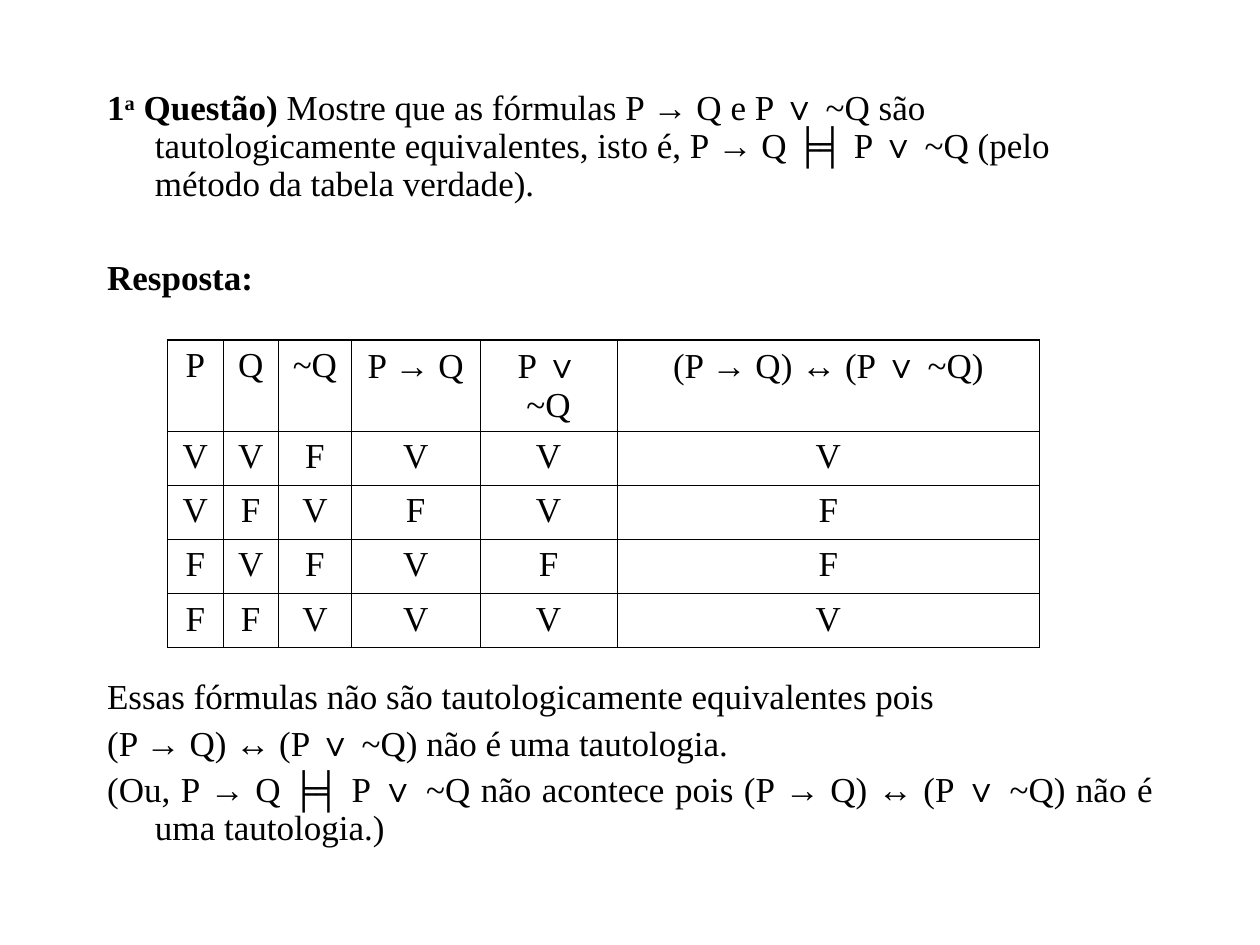
"""Build a slide that checks a tautological equivalence with a truth table."""
from dataclasses import dataclass
from itertools import groupby

from lxml import etree
from pptx import Presentation
from pptx.dml.color import RGBColor
from pptx.enum.text import MSO_AUTO_SIZE, PP_ALIGN
from pptx.oxml.ns import qn
from pptx.util import Inches, Pt

BLACK = RGBColor(0, 0, 0)
LEFT, CENTER, JUSTIFY = PP_ALIGN.LEFT, PP_ALIGN.CENTER, PP_ALIGN.JUSTIFY
NO_AUTOFIT = MSO_AUTO_SIZE.NONE
TEXT_FONT, SYMBOL_FONT = "Times New Roman", "Arial"
SYMBOLS = "→∨↔"
TEXT_SIZE = Pt(20)
THIN, THICK = Pt(0.45), Pt(1.08)
TITLE_AND_CONTENT = 1
INDENT = Inches(0.38)


@dataclass(frozen=True)
class Span:
    text: str
    bold: bool = False
    superscript: bool = False


@dataclass(frozen=True)
class Statement:
    spans: tuple[Span, ...]
    space_before: float = 5
    alignment: PP_ALIGN = JUSTIFY


STATEMENTS = (
    Statement((
        Span("1", bold=True),
        Span("a", bold=True, superscript=True),
        Span(" Questão)", bold=True),
        Span(" Mostre que as fórmulas P → Q e P ∨ ~Q são tautologicamente "
             "equivalentes, isto é, P → Q ╞╡ P ∨ ~Q (pelo método da tabela verdade)."),
    ), 0, LEFT),
    Statement((Span("Resposta:", bold=True),), 32, LEFT),
    Statement((Span("Essas fórmulas não são tautologicamente equivalentes pois"),), 218),
    Statement((Span("(P → Q) ↔ (P ∨ ~Q) não é uma tautologia."),)),
    Statement((Span("(Ou, P → Q ╞╡ P ∨ ~Q não acontece pois "
                    "(P → Q) ↔ (P ∨ ~Q) não é uma tautologia.)"),)),
)

TRUTH_TABLE = (
    ("P", "Q", "~Q", "P → Q", "P ∨ ~Q", "(P → Q) ↔ (P ∨ ~Q)"),
    *(tuple(values) for values in ("VVFVVV", "VFVFVF", "FVFVFF", "FFVVVV")),
)
COLUMN_WIDTHS = (0.44, 0.44, 0.58, 1.02, 1.09, 3.35)
ROW_HEIGHT = 0.43


def write_span(paragraph, span: Span) -> None:
    """Add a span, giving logical symbols their own font."""
    for is_symbol, letters in groupby(span.text, lambda letter: letter in SYMBOLS):
        run = paragraph.add_run()
        run.text = "".join(letters)
        run.font.name = SYMBOL_FONT if is_symbol else TEXT_FONT
        run.font.size = TEXT_SIZE
        run.font.bold = span.bold
        run.font.color.rgb = BLACK
        if span.superscript:
            run._r.get_or_add_rPr().set("baseline", "30000")


def write_statement(paragraph, statement: Statement) -> None:
    """Write a statement with a hanging indent and no bullet."""
    properties = paragraph._p.get_or_add_pPr()
    properties.set("marL", str(INDENT))
    properties.set("indent", str(-INDENT))
    etree.SubElement(properties, qn("a:buNone"))
    paragraph.alignment = statement.alignment
    paragraph.line_spacing = 0.9
    paragraph.space_before = Pt(statement.space_before)
    for span in statement.spans:
        write_span(paragraph, span)


def set_border(cell, side: str, width: int) -> None:
    """Draw one black border of a cell."""
    line = etree.SubElement(cell._tc.get_or_add_tcPr(), qn(f"a:ln{side}"), w=str(width))
    fill = etree.SubElement(line, qn("a:solidFill"))
    etree.SubElement(fill, qn("a:srgbClr"), val=str(BLACK))


def add_statements(page) -> None:
    """Fill the body placeholder with the question and the conclusion."""
    title = page.shapes.title._element
    title.getparent().remove(title)
    body = page.placeholders[1]
    body.left, body.top = Inches(0.75), Inches(0.67)
    body.width, body.height = Inches(8.5), Inches(6.33)
    frame = body.text_frame
    frame.word_wrap = True
    frame.auto_size = NO_AUTOFIT
    for index, statement in enumerate(STATEMENTS):
        paragraph = frame.add_paragraph() if index else frame.paragraphs[0]
        write_statement(paragraph, statement)


def add_truth_table(page) -> None:
    """Add the truth table with a thick outline and thin inner rules."""
    row_count, column_count = len(TRUTH_TABLE), len(COLUMN_WIDTHS)
    table = page.shapes.add_table(
        row_count, column_count, Inches(1.33), Inches(2.7),
        Inches(sum(COLUMN_WIDTHS)), Inches(ROW_HEIGHT * row_count)).table
    table.first_row = table.horz_banding = False
    for column, width in zip(table.columns, COLUMN_WIDTHS):
        column.width = Inches(width)
    for row, values in enumerate(TRUTH_TABLE):
        for column, value in enumerate(values):
            cell = table.cell(row, column)
            outer_sides = {
                "L": column == 0,
                "R": column == column_count - 1,
                "T": row == 0,
                "B": row == row_count - 1,
            }
            for side, is_outer in outer_sides.items():
                set_border(cell, side, THICK if is_outer else THIN)
            cell.fill.background()
            paragraph = cell.text_frame.paragraphs[0]
            paragraph.alignment = CENTER
            write_span(paragraph, Span(value))


def main() -> None:
    """Build and save the deck."""
    deck = Presentation()
    deck.slide_width, deck.slide_height = Inches(10), Inches(7.5)
    page = deck.slides.add_slide(deck.slide_layouts[TITLE_AND_CONTENT])
    add_statements(page)
    add_truth_table(page)
    deck.save("out.pptx")


if __name__ == "__main__":
    main()
